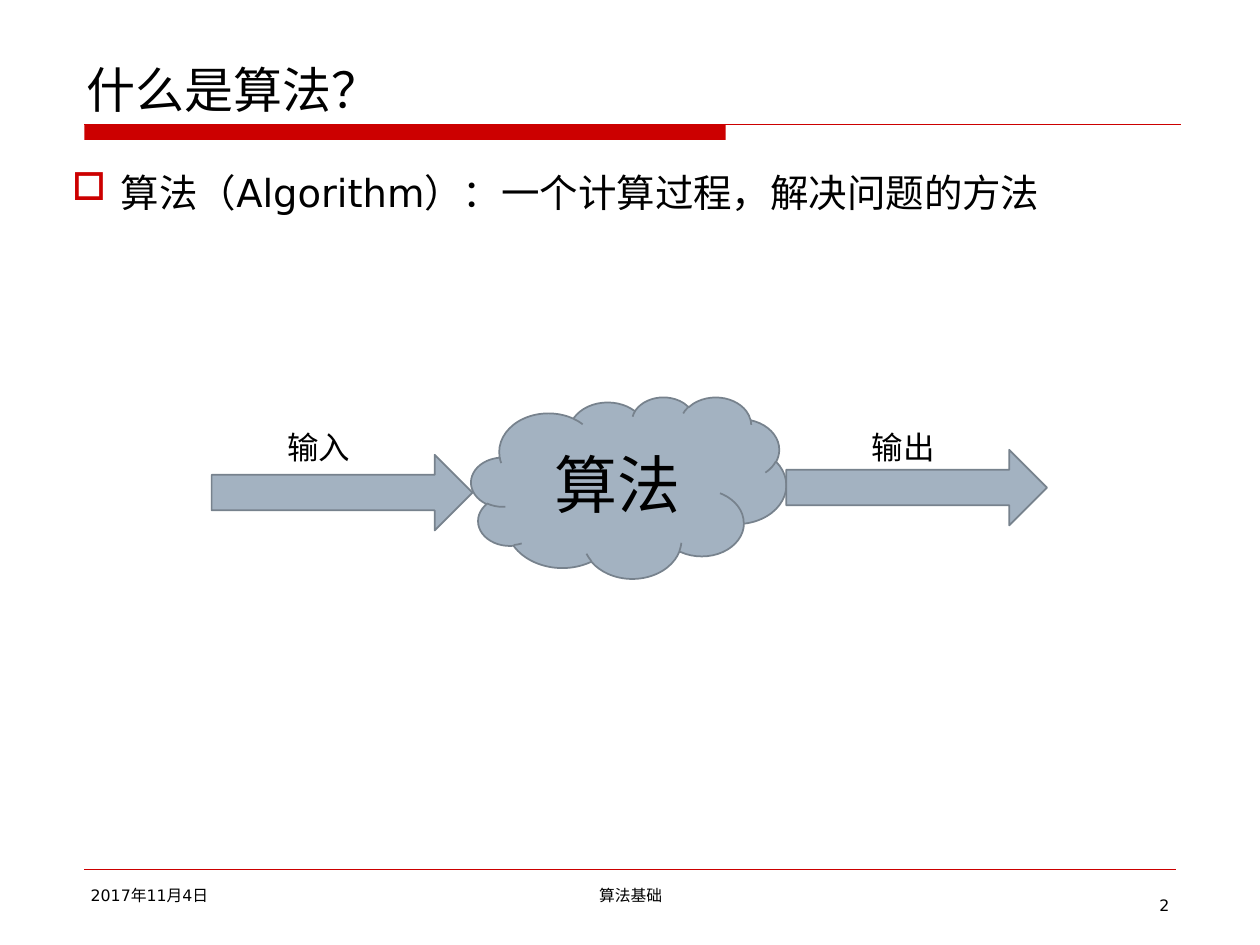
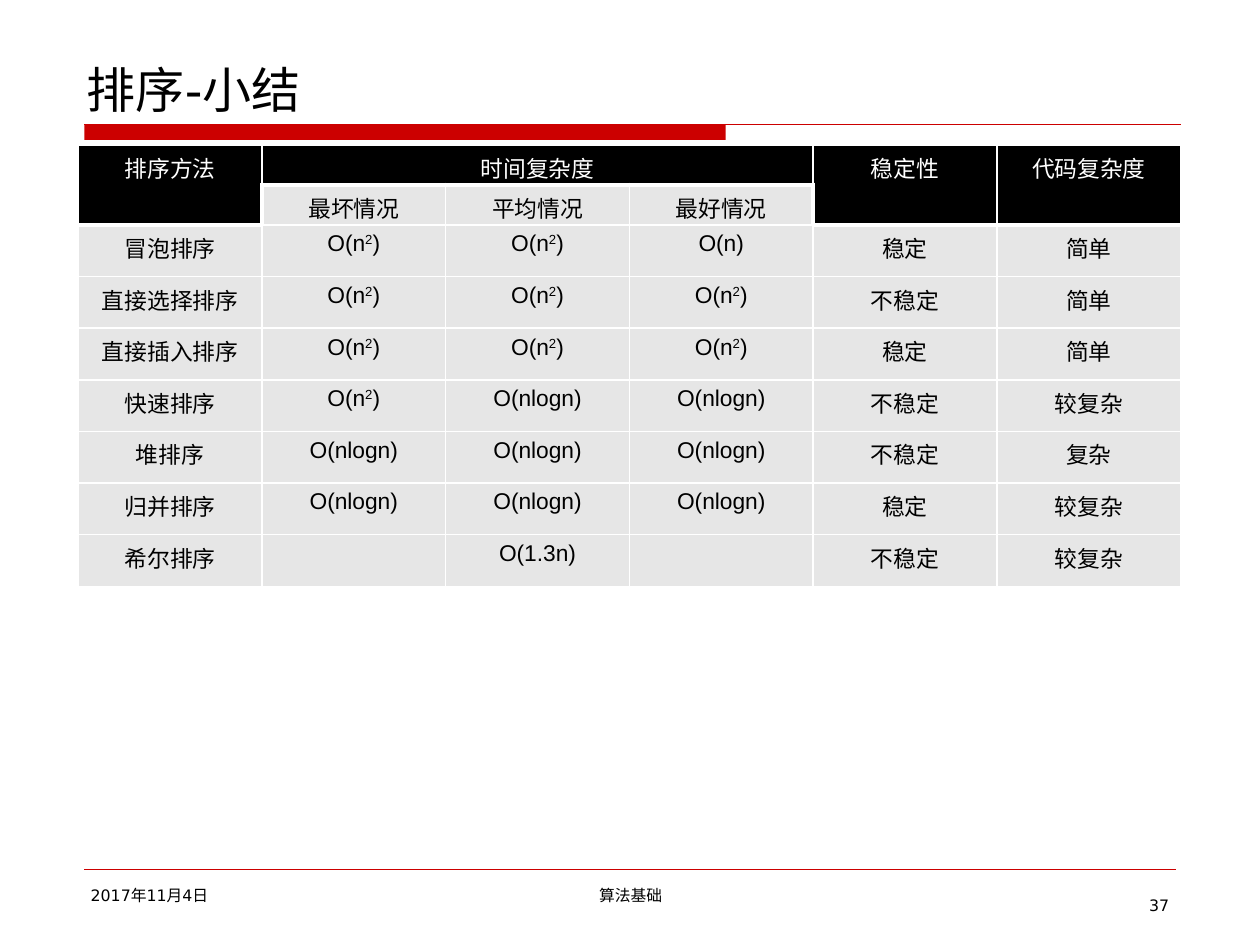
"""Builds two slides on algorithm basics: a definition diagram and a sorting summary table."""
from lxml import etree
from pptx import Presentation
from pptx import util as u
from pptx.dml.color import RGBColor
from pptx.enum import shapes, text
from pptx.oxml.ns import qn

DATE, FOOTER = "2017年11月4日", "算法基础"
DEFINITION = {
    "title": "什么是算法？", "page": "2",
    "bullet": "算法（Algorithm）：一个计算过程，解决问题的方法",
    "cloud": "算法",
}
FLOWS = [("输入", 1.68, 3.61, 2.23), ("输出", 6.24, 3.57, 6.87)]
SUMMARY = {"title": "排序-小结", "page": "37"}
SQUARE, LOG = "O(n^2)", "O(nlogn)"
SORTS = [
    ("排序方法", "时间复杂度", "", "", "稳定性", "代码复杂度"),
    ("", "最坏情况", "平均情况", "最好情况", "", ""),
    ("冒泡排序", SQUARE, SQUARE, "O(n)", "稳定", "简单"),
    ("直接选择排序", SQUARE, SQUARE, SQUARE, "不稳定", "简单"),
    ("直接插入排序", SQUARE, SQUARE, SQUARE, "稳定", "简单"),
    ("快速排序", SQUARE, LOG, LOG, "不稳定", "较复杂"),
    ("堆排序", LOG, LOG, LOG, "不稳定", "复杂"),
    ("归并排序", LOG, LOG, LOG, "稳定", "较复杂"),
    ("希尔排序", "", "O(1.3n)", "", "不稳定", "较复杂"),
]
MERGES = [((0, 0), (1, 0)), ((0, 1), (0, 3)), ((0, 4), (1, 4)), ((0, 5), (1, 5))]

WIDTH, HEIGHT = 10, 7.5
LEFT, RULE_TOP, FOOTER_TOP = 0.67, 0.99, 6.98
INSET = 0.05
RED, BLACK, WHITE = "CC0000", "000000", "FFFFFF"
STEEL, STEEL_EDGE, GREY = "A3B2C1", "77828D", "E6E6E6"
LATIN, CHINESE, TABLE_LATIN = "DejaVu Sans", "Noto Sans CJK SC", "Arial"
ALIGN, ANCHOR = text.PP_ALIGN, text.MSO_ANCHOR
SHAPE = shapes.MSO_SHAPE


def color(value):
    return RGBColor.from_string(value)


def inches(*lengths):
    return [u.Inches(length) for length in lengths]


def style(paragraph, size, ink=BLACK, align=ALIGN.LEFT, latin=LATIN):
    paragraph.alignment = align
    font = paragraph.font
    font.size, font.bold, font.name = u.Pt(size), False, latin
    font.color.rgb = color(ink)
    defaults = paragraph._p.pPr.find(qn("a:defRPr"))
    etree.SubElement(defaults, qn("a:ea"), typeface=CHINESE)


def set_insets(holder):
    holder.margin_left = holder.margin_right = u.Inches(INSET)
    holder.margin_top = holder.margin_bottom = u.Inches(INSET)


def write(frame, words, size, align=ALIGN.LEFT, anchor=ANCHOR.TOP, wrap=True):
    set_insets(frame)
    frame.word_wrap, frame.vertical_anchor = wrap, anchor
    paragraph = frame.paragraphs[0]
    paragraph.add_run().text = words
    style(paragraph, size, align=align)
    return paragraph


def add_text(slide, box, *args, **options):
    return write(slide.shapes.add_textbox(*inches(*box)).text_frame, *args, **options)


def add_figure(slide, kind, box, fill, edge=None):
    shape = slide.shapes.add_shape(kind, *inches(*box))
    shape.shadow.inherit = False
    shape.fill.solid()
    shape.fill.fore_color.rgb = color(fill)
    if edge:
        shape.line.color.rgb, shape.line.width = color(edge), u.Pt(1)
    else:
        shape.line.fill.background()
    return shape


def add_rule(slide, right, top, points):
    ends = inches(LEFT, top, right, top)
    line = slide.shapes.add_connector(shapes.MSO_CONNECTOR.STRAIGHT, *ends)
    line.line.color.rgb, line.line.width = color(RED), u.Pt(points)
    etree.SubElement(line._element.spPr, qn("a:effectLst"))


def add_slide(presentation, content):
    slide = presentation.slides.add_slide(presentation.slide_layouts[6])
    add_figure(slide, SHAPE.RECTANGLE, (LEFT, RULE_TOP, 5.09, 0.12), RED)
    add_rule(slide, 9.37, RULE_TOP, 0.75)
    add_rule(slide, 9.33, 6.9, 0.25)
    add_text(slide, (0.64, 0.33, 8.75, 0.66), content["title"], 28, anchor=ANCHOR.BOTTOM)
    add_text(slide, (LEFT, FOOTER_TOP, 2.17, 0.28), DATE, 9)
    add_text(slide, (3.42, FOOTER_TOP, 3.17, 0.28), FOOTER, 9, ALIGN.CENTER)
    page_width = 0.11 + 0.08 * len(content["page"])
    add_text(slide, (9.33 - page_width, 7.06, page_width, 0.25), content["page"], 9,
             ALIGN.RIGHT, wrap=False)
    return slide


def add_bullet(paragraph):
    paragraph.space_before = u.Pt(5)
    properties = paragraph._p.pPr
    properties.set("marL", str(u.Inches(0.39)))
    properties.set("indent", str(-u.Inches(0.39)))
    defaults = properties.find(qn("a:defRPr"))
    bullet_color = etree.Element(qn("a:buClr"))
    etree.SubElement(bullet_color, qn("a:srgbClr"), val=RED)
    defaults.addprevious(bullet_color)
    defaults.addprevious(etree.Element(qn("a:buChar"), char="□"))


def build_definition(presentation):
    slide = add_slide(presentation, DEFINITION)
    add_bullet(add_text(slide, (0.52, 1.29, 8.75, 5.43), DEFINITION["bullet"], 22))
    cloud = add_figure(slide, SHAPE.CLOUD, (3.74, 3.15, 2.5, 1.44), STEEL, STEEL_EDGE)
    write(cloud.text_frame, DEFINITION["cloud"], 36, ALIGN.CENTER, ANCHOR.MIDDLE)
    for label, left, top, label_left in FLOWS:
        arrow = add_figure(slide, SHAPE.RIGHT_ARROW, (left, top, 2.07, 0.6), STEEL, STEEL_EDGE)
        arrow.adjustments[0], arrow.adjustments[1] = 0.47, 0.5
        add_text(slide, (label_left, 3.35, 0.79, 0.45), label, 18)


def set_borders(cell, thick):
    properties = cell._tc.get_or_add_tcPr()
    for position, side in enumerate("LRTB"):
        width = u.Pt(3 if side in thick else 1)
        line = etree.Element(qn(f"a:ln{side}"), w=str(width))
        fill = etree.SubElement(line, qn("a:solidFill"))
        etree.SubElement(fill, qn("a:srgbClr"), val=WHITE)
        properties.insert(position, line)


def thick_sides(row, column):
    if row == 0:
        return "B"
    if row == 1:
        return "T" + {1: "L", 3: "R"}.get(column, "")
    return "T" if row == 2 and column in (0, 4, 5) else ""


def fill_cell(cell, words, row, column):
    set_insets(cell)
    cell.fill.solid()
    cell.fill.fore_color.rgb = color(GREY if row else BLACK)
    set_borders(cell, thick_sides(row, column))
    paragraph = cell.text_frame.paragraphs[0]
    base, caret, rest = words.partition("^")
    if base:
        paragraph.add_run().text = base
    if caret:
        power = paragraph.add_run()
        power.text = rest[0]
        power._r.get_or_add_rPr().set("baseline", "30000")
        paragraph.add_run().text = rest[1:]
    style(paragraph, 13, BLACK if row else WHITE, ALIGN.CENTER, TABLE_LATIN)


def build_summary(presentation):
    slide = add_slide(presentation, SUMMARY)
    box = inches(0.62, 1.15, 8.75, 3.24)
    table = slide.shapes.add_table(len(SORTS), len(SORTS[0]), *box).table
    table.first_row = table.horz_banding = False
    for first, last in MERGES:
        table.cell(*first).merge(table.cell(*last))
    for row, entries in enumerate(SORTS):
        table.rows[row].height = u.Inches(0.2 if row < 2 else 0.41)
        for column, words in enumerate(entries):
            cell = table.cell(row, column)
            if not cell.is_spanned:
                fill_cell(cell, words, row, column)


def main():
    presentation = Presentation()
    presentation.slide_width, presentation.slide_height = inches(WIDTH, HEIGHT)
    build_definition(presentation)
    build_summary(presentation)
    presentation.save("out.pptx")


if __name__ == "__main__":
    main()
